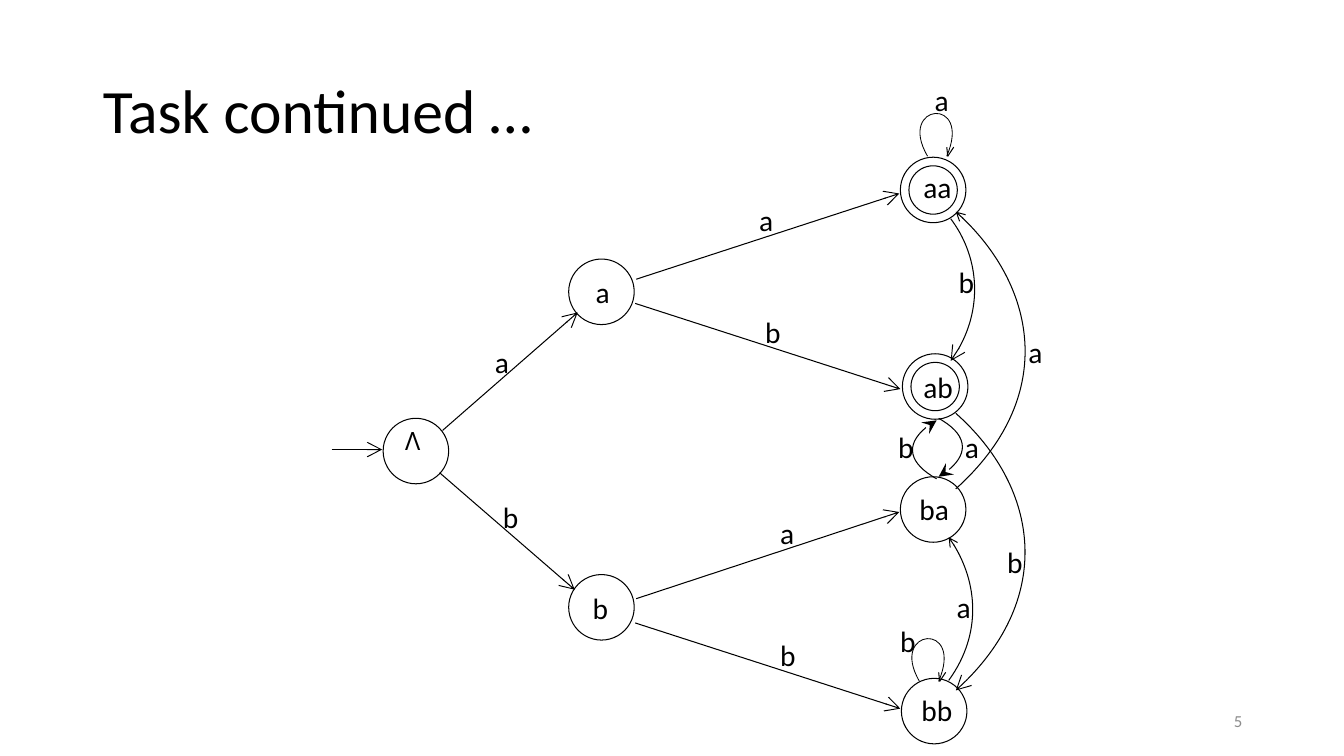
from collections import namedtuple
from pptx import Presentation
from pptx.dml.color import RGBColor
from pptx.enum.shapes import MSO_CONNECTOR as Link, MSO_SHAPE as Preset
from pptx.enum.text import MSO_ANCHOR as Anchor, PP_ALIGN as Align
from pptx.oxml.ns import qn
from pptx.util import Inches, Pt
from lxml.etree import SubElement

BLACK = RGBColor(0, 0, 0)
WHITE = RGBColor(255, 255, 255)
GREY = RGBColor(0x8C, 0x8C, 0x8C)
CELL = Inches(1)
COLUMNS, ROWS = 13.33, 7.5
STATE_SIZE, FINAL_SIZE = 0.65, 0.48

Box = namedtuple("Box", "left top width height")
State = namedtuple("State", "name left top label_x label_y final")
Edge = namedtuple("Edge", "letter label_x label_y points head")
Head = namedtuple("Head", "kind size")

LARGE = Head("arrow", "lg")
MEDIUM = Head("arrow", "med")
STEALTH = Head("stealth", "lg")

STATES = [
    State("Λ", 0.8, 3.65, 0.92, 3.67, False),
    State("a", 2.64, 2.07, 2.81, 2.17, False),
    State("b", 2.64, 5.2, 2.78, 5.3, False),
    State("aa", 5.93, 1.06, 6.06, 1.13, True),
    State("ab", 5.95, 3.01, 6.06, 3.11, True),
    State("ba", 5.93, 4.23, 6.02, 4.32, False),
    State("bb", 5.94, 6.23, 6.04, 6.32, False),
]
FIRST_EDGES = [
    Edge("", 0, 0, [(0.29, 3.96), (0.79, 3.96)], LARGE),
    Edge("a", 1.81, 2.86, [(1.39, 3.77), (2.73, 2.6)], LARGE),
    Edge("b", 1.89, 4.4, [(1.36, 4.19), (2.7, 5.35)], LARGE),
]
SECOND_EDGES = [
    Edge("a", 4.43, 1.46, [(3.31, 2.27), (5.92, 1.42)], LARGE),
    Edge("b", 4.49, 2.57, [(3.3, 2.51), (5.93, 3.36)], LARGE),
    Edge("a", 4.64, 4.56, [(3.31, 5.44), (5.92, 4.58)], LARGE),
    Edge("b", 4.64, 5.77, [(3.3, 5.68), (5.93, 6.53)], LARGE),
]
CURVED_EDGES = [
    Edge("b", 6.41, 2.07, [(6.43, 1.67), (6.7, 2.03), (6.77, 2.62), (6.43, 3.08)], LARGE),
    Edge("a", 6.39, 5.29, [(6.41, 6.25), (6.75, 5.78), (6.68, 5.2), (6.41, 4.83)], MEDIUM),
    Edge("b", 6.89, 4.85, [(6.48, 3.6), (7.28, 4.31), (7.48, 5.45), (6.48, 6.35)], LARGE),
    Edge("a", 7.1, 2.77, [(6.48, 4.35), (7.48, 3.45), (7.28, 2.31), (6.48, 1.6)], MEDIUM),
    Edge("a", 6.47, 3.71, [(6.31, 3.65), (6.58, 3.8), (6.64, 4.04), (6.31, 4.23)], STEALTH),
    Edge("b", 5.81, 3.71, [(6.29, 4.25), (6.02, 4.1), (5.95, 3.86), (6.29, 3.67)], STEALTH),
]
LOOPS = [("a", 6.17, 0.27, 6.2, 1.05), ("b", 5.83, 5.63, 6.12, 6.26)]
LOOP_CURVE = [(0, 0), (-0.31, -0.53), (0.45, -0.6), (0.19, 0)]
LOOP_BARBS = [[(0.2, 0), (0.26, -0.09)], [(0.19, -0.09), (0.2, 0)]]


def place(box, x, y):
    """Turn a grid point within the box into slide lengths."""
    return round((box.left + x) * CELL), round((box.top + y) * CELL)


def style_line(shape, width=0.75, head=None):
    """Draw a plain black outline, with an arrowhead at its end if given."""
    shape.line.color.rgb = BLACK
    shape.line.width = Pt(width)
    if head:
        SubElement(shape.line._get_or_add_ln(), qn("a:tailEnd"),
                   type=head.kind, w=head.size, len=head.size)


def add_text(page, box, text, size, font="Calibri", color=BLACK):
    """Add a one-line text box and return its frame."""
    left, top = place(box, 0, 0)
    frame = page.shapes.add_textbox(
        left, top, round(box.width * CELL), round(box.height * CELL)).text_frame
    frame.word_wrap = True
    para = frame.paragraphs[0]
    para.text = text
    para.font.size, para.font.name = Pt(size), font
    para.font.color.rgb = color
    return frame


def add_label(page, box, text, x, y):
    """Label a state or an edge."""
    size, font = (18, "Open Sans") if text == "Λ" else (21, "Calibri")
    add_text(page, Box(box.left + x, box.top + y, 0.98, 0.68), text, size, font)


def add_circle(page, box, x, y, size):
    """Add a white circle at a corner point."""
    extent = round(size * CELL)
    circle = page.shapes.add_shape(Preset.OVAL, *place(box, x, y), extent, extent)
    circle.shadow.inherit = False
    circle.fill.solid()
    circle.fill.fore_color.rgb = WHITE
    style_line(circle)


def add_path(page, box, points, width=0.75, head=None):
    """Add an open outline through the points and return it."""
    start, *rest = [place(box, x, y) for x, y in points]
    builder = page.shapes.build_freeform(*start)
    builder.add_line_segments(rest, close=False)
    outline = builder.convert_to_shape()
    outline.shadow.inherit = False
    outline.fill.background()
    style_line(outline, width, head)
    return outline


def add_curve(page, box, points, width=0.75, head=None):
    """Add a cubic curve from its end and control points."""
    outline = add_path(page, box, points, width, head)
    segments = list(outline._element.iter(qn("a:lnTo")))
    track = segments[0].getparent()
    cubic = SubElement(track, qn("a:cubicBezTo"))
    for segment in segments:
        cubic.append(segment[0])
        track.remove(segment)


def add_arrow(page, box, points, head):
    """Add a straight arrow."""
    start, end = (place(box, x, y) for x, y in points)
    arrow = page.shapes.add_connector(Link.STRAIGHT, *start, *end)
    style_line(arrow, head=head)
    SubElement(arrow._element.spPr, qn("a:effectLst"))


def add_loop(page, box):
    """Add a loop that leaves and enters the same state."""
    add_curve(page, box, LOOP_CURVE, width=0.6)
    for barb in LOOP_BARBS:
        add_path(page, box, barb)


def add_automaton(page, box):
    """Draw the states, transitions and labels in the box."""
    inset = (STATE_SIZE - FINAL_SIZE) / 2
    for state in STATES:
        add_circle(page, box, state.left, state.top, STATE_SIZE)
        if state.final:
            add_circle(page, box, state.left + inset, state.top + inset, FINAL_SIZE)
        add_label(page, box, state.name, state.label_x, state.label_y)
    drawers = ((add_arrow, FIRST_EDGES), (add_path, SECOND_EDGES), (add_curve, CURVED_EDGES))
    for draw, edges in drawers:
        for edge in edges:
            draw(page, box, edge.points, head=edge.head)
            if edge.letter:
                add_label(page, box, edge.letter, edge.label_x, edge.label_y)
    for letter, label_x, label_y, x, y in LOOPS:
        add_loop(page, Box(box.left + x, box.top + y, 0.76, 0.6))
        add_label(page, box, letter, label_x, label_y)


def add_title(page, box, text):
    """Fill and place the title placeholder."""
    title = page.shapes.title
    title.left, title.top, title.width, title.height = (round(part * CELL) for part in box)
    title.text_frame.text = text
    title.text_frame.vertical_anchor = Anchor.MIDDLE
    para = title.text_frame.paragraphs[0]
    para.alignment, para.line_spacing = Align.LEFT, 0.9
    para.font.size, para.font.name = Pt(44), "Calibri"
    para.font.color.rgb = BLACK


def add_page_number(page, box, text):
    """Add the page number at the right of the box."""
    frame = add_text(page, box, text, 12, color=GREY)
    frame.vertical_anchor = Anchor.MIDDLE
    frame.paragraphs[0].alignment = Align.RIGHT


def main():
    """Build and save the deck."""
    deck = Presentation()
    deck.slide_width, deck.slide_height = round(COLUMNS * CELL), round(ROWS * CELL)
    page = deck.slides.add_slide(deck.slide_layouts.get_by_name("Title Only"))
    add_title(page, Box(0.92, 0.4, 11.5, 1.45), "Task continued …")
    add_automaton(page, Box(3, 0.5, 8, 7))
    add_page_number(page, Box(9.42, 6.95, 3, 0.4), "5")
    deck.save("out.pptx")


main()
